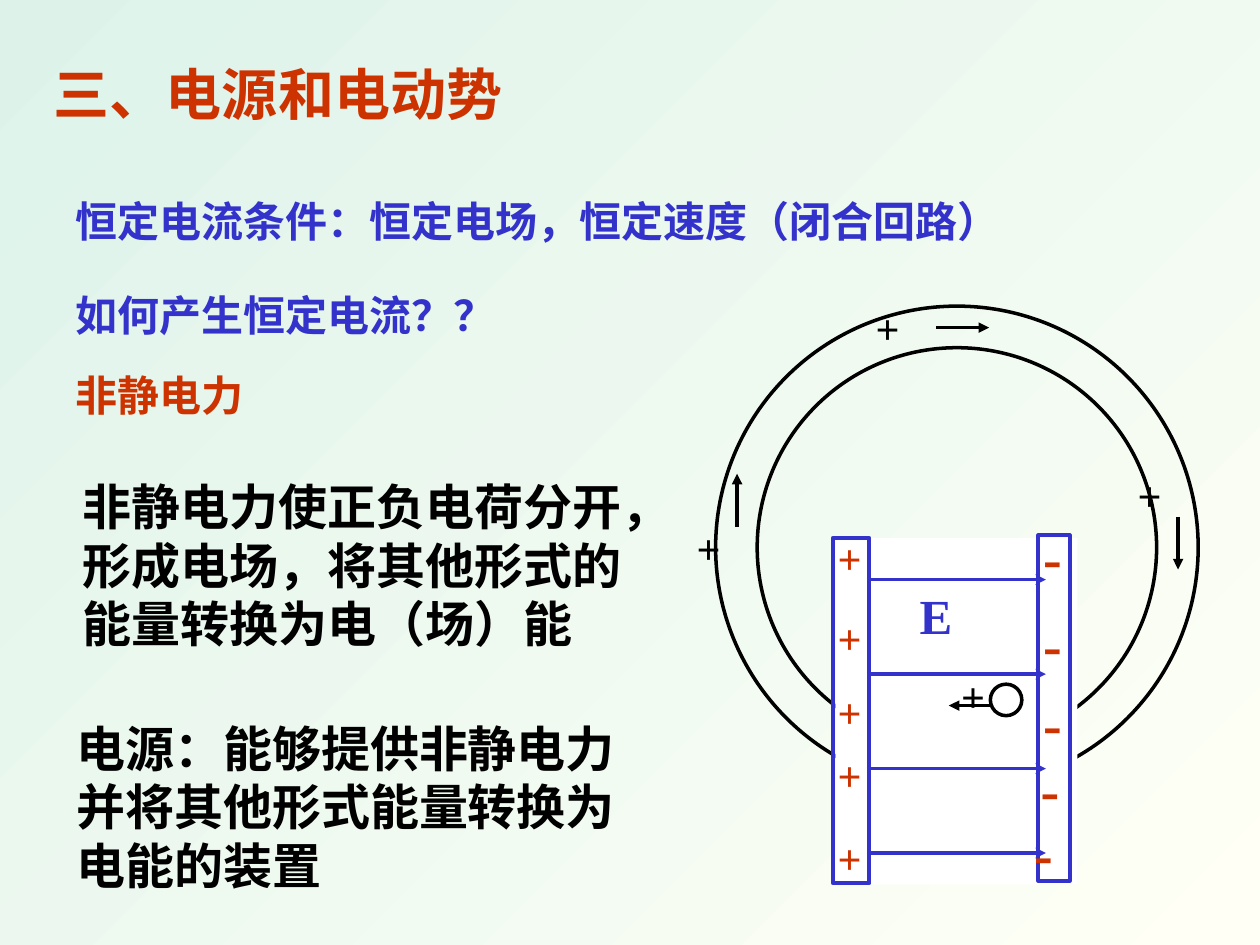
from pptx import Presentation
from pptx.dml.color import RGBColor
from pptx.enum.shapes import MSO_CONNECTOR, MSO_SHAPE
from pptx.enum.text import MSO_ANCHOR, MSO_AUTO_SIZE
from pptx.oxml.ns import qn
from pptx.util import Inches, Pt
from lxml import etree

STRAIGHT = MSO_CONNECTOR.STRAIGHT
OVAL, RECTANGLE = MSO_SHAPE.OVAL, MSO_SHAPE.RECTANGLE
TOP, MIDDLE = MSO_ANCHOR.TOP, MSO_ANCHOR.MIDDLE
GROW = MSO_AUTO_SIZE.SHAPE_TO_FIT_TEXT

FONT = "Times New Roman"
RED, BLUE, BLACK, WHITE = "CC3300", "3333CC", "000000", "FFFFFF"


def color(value):
    return RGBColor.from_string(value)


def add_text(shapes, text, left, top, width, height, size, text_color,
             anchor=TOP, wrap=True):
    box = shapes.add_textbox(Inches(left), Inches(top), Inches(width), Inches(height))
    frame = box.text_frame
    frame.text = text
    frame.word_wrap = wrap
    frame.auto_size = GROW
    frame.vertical_anchor = anchor
    font = frame.paragraphs[0].runs[0].font
    font.name = FONT
    font.size = Pt(size)
    font.bold = True
    font.color.rgb = color(text_color)


def add_outline(shapes, kind, left, top, width, height, line=None, points=2, fill=None):
    shape = shapes.add_shape(kind, Inches(left), Inches(top), Inches(width), Inches(height))
    shape.shadow.inherit = False
    if fill:
        shape.fill.solid()
        shape.fill.fore_color.rgb = color(fill)
    else:
        shape.fill.background()
    if line:
        shape.line.color.rgb = color(line)
        shape.line.width = Pt(points)
    else:
        shape.line.fill.background()


def add_arrow(shapes, start, end, line, head="triangle"):
    connector = shapes.add_connector(
        STRAIGHT, *(Inches(value) for value in (*start, *end)))
    connector.line.color.rgb = color(line)
    connector.line.width = Pt(2)
    etree.SubElement(connector.line._get_or_add_ln(), qn("a:tailEnd"), type=head)
    etree.SubElement(connector._element.spPr, qn("a:effectLst"))


def paint_background(slide):
    fill = slide.background.fill
    fill.gradient()
    fill.gradient_angle = 315
    for stop, value, position in zip(fill.gradient_stops, ("DDF3EA", "FFFFF5"), (0, 1)):
        stop.color.rgb = color(value)
        stop.position = position


def add_explanations(slide):
    for text, *box, size, text_color in (
        ("三、电源和电动势", 0.33, 0.42, 4.08, 0.63, 32, RED),
        ("恒定电流条件：恒定电场，恒定速度（闭合回路）", 0.5, 1.5, 8, 0.5, 24, BLUE),
        ("如何产生恒定电流？？", 0.5, 2.25, 3.83, 0.5, 24, BLUE),
        ("非静电力", 0.5, 2.88, 3.5, 0.5, 24, RED),
        ("非静电力使正负电荷分开，形成电场，将其他形式的能量转换为电（场）能",
         0.56, 3.73, 4.68, 1.51, 28, BLACK),
        ("电源：能够提供非静电力并将其他形式能量转换为电能的装置",
         0.51, 5.65, 4.83, 1.56, 28, BLACK),
    ):
        add_text(slide.shapes, text, *box, size, text_color)


def add_circuit_ring(slide, left, top, diameter):
    """Draw the wire as two concentric circles with charges moving clockwise."""
    shapes = slide.shapes.add_group_shape().shapes
    wire_width = 0.33
    for inset in (0, wire_width):
        add_outline(shapes, OVAL, left + inset, top + inset,
                    diameter - 2 * inset, diameter - 2 * inset, BLACK)
    for x, y in ((-0.25, 1.67), (3.25, 1.25), (1.17, -0.08)):
        add_text(shapes, "+", left + x, top + y, 0.92, 0.5, 24, BLACK)
    for x, y, run, rise in ((0.17, 1.75, 0, -0.42), (1.75, 0.17, 0.42, 0),
                            (3.67, 1.67, 0, 0.42)):
        start = left + x, top + y
        add_arrow(shapes, start, (start[0] + run, start[1] + rise), BLACK)


def add_power_source(slide, left, top, width, height):
    """Draw the charged plates, the field between them and the charge driven against it."""
    shapes = slide.shapes.add_group_shape().shapes
    add_outline(shapes, RECTANGLE, left, top, width, height, fill=WHITE)

    add_outline(shapes, RECTANGLE, left - 0.02, top, 0.29, 2.74, BLUE, 2.25)
    for y in (-0.09, 0.54, 1.13, 1.63, 2.29):
        add_text(shapes, "+", left - 0.08, top + y, 0.42, 0.5, 24, RED, MIDDLE)

    add_outline(shapes, RECTANGLE, left + 1.61, top - 0.02, 0.25, 2.74, BLUE, 2.25)
    for x, y in ((1.55, -0.17), (1.55, 0.52), (1.55, 1.15), (1.53, 1.67), (1.48, 2.18)):
        add_text(shapes, "-", left + x, top + y, 0.35, 0.63, 32, RED, MIDDLE, wrap=False)

    for y in (0.33, 1.08, 1.83, 2.5):
        add_arrow(shapes, (left + 0.25, top + y), (left + 1.67, top + y), BLUE, "stealth")
    add_text(shapes, "E", left + 0.57, top + 0.33, 0.67, 0.57, 28, BLUE)

    add_outline(shapes, OVAL, left + 1.23, top + 1.16, 0.25, 0.25, BLACK)
    add_text(shapes, "+", left + 0.9, top + 1, 0.92, 0.5, 24, BLACK)
    add_arrow(shapes, (left + 1.23, top + 1.33), (left + 0.9, top + 1.33), BLACK)


def main():
    presentation = Presentation()
    presentation.slide_width = Inches(10)
    presentation.slide_height = Inches(7.5)
    slide = presentation.slides.add_slide(presentation.slide_layouts[6])
    paint_background(slide)
    add_explanations(slide)
    add_circuit_ring(slide, 5.68, 2.43, 3.83)
    add_power_source(slide, 6.63, 4.27, 1.92, 2.75)
    presentation.save("out.pptx")


if __name__ == "__main__":
    main()
